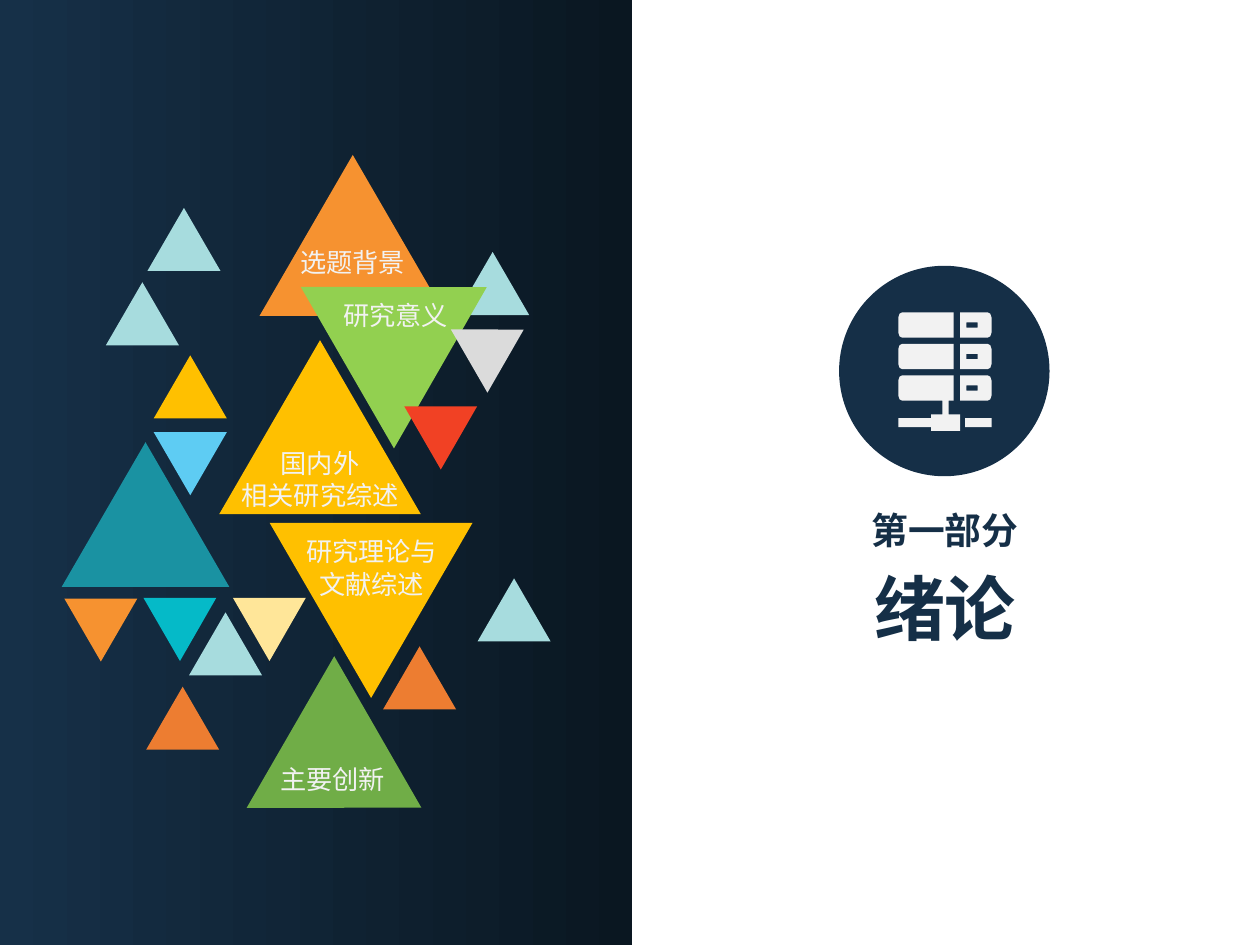
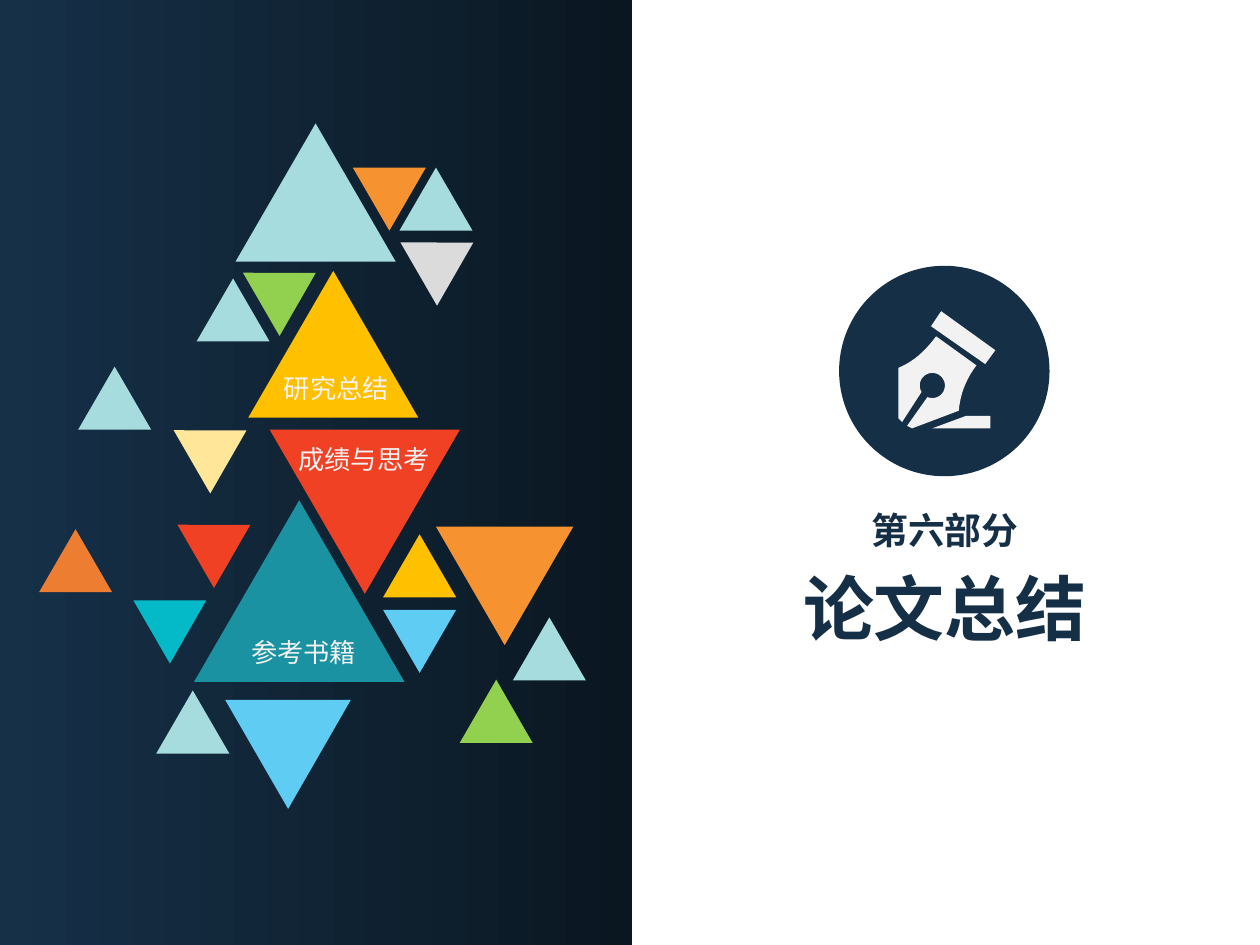
import math

from lxml import etree
from pptx import Presentation
from pptx.dml.color import RGBColor
from pptx.enum import shapes, text
from pptx.oxml.ns import qn
from pptx.util import Inches, Pt

FONT = "Noto Sans CJK SC"
COLORS = {
    "navy": "152F47", "band_start": "163048", "band_end": "0A1721",
    "light": "F2F2F2", "mist": "A7DCDE", "cream": "FFE699",
    "amber": "FFC000", "teal": "1A92A2", "rust": "ED7D31",
    "orange": "F69230", "lime": "92D050", "gray": "DBDBDB",
    "cyan": "05BAC8", "sky": "5ECCF3", "red": "F14124", "green": "70AD47",
}
SMALL = 0.58          # width of the small triangles
RATIO = 0.863         # triangle height to width
CENTER_X = 7.5        # axis of the right half

# colour, left, top, width, rotation
INTRO_TRIANGLES = [
    ("mist", 0.84, 2.24, SMALL, 0),
    ("mist", 3.62, 2.0, SMALL, 0),
    ("cream", 1.92, 4.62, SMALL, 60),
    ("amber", 1.74, 2.7, 1.6, 0),
    ("teal", 0.49, 3.51, 1.33, 0),
    ("mist", 1.5, 4.86, SMALL, 0),
    ("rust", 1.16, 5.45, SMALL, 0),
    ("orange", 2.06, 1.23, 1.48, 0),
    ("mist", 1.17, 1.65, SMALL, 0),
    ("lime", 2.57, 1.96, 1.48, 60),
    ("gray", 3.65, 2.49, SMALL, 60),
    ("cyan", 1.21, 4.62, SMALL, 60),
    ("orange", 0.51, 4.75, SMALL, 180),
    ("amber", 1.22, 2.82, SMALL, 0),
    ("sky", 1.22, 3.43, SMALL, 180),
    ("red", 3.28, 3.1, SMALL, 60),
    ("green", 2.13, 5.51, 1.39, 120),
    ("mist", 3.79, 4.59, SMALL, 0),
    ("amber", 2.14, 4.15, 1.61, 180),
    ("rust", 3.04, 5.13, SMALL, 0),
]
SUMMARY_TRIANGLES = [
    ("mist", 0.62, 2.91, SMALL, 0),
    ("mist", 3.17, 1.33, SMALL, 0),
    ("cream", 1.45, 3.29, SMALL, 60),
    ("red", 2.14, 3.41, 1.51, 180),
    ("teal", 1.54, 3.97, 1.67, 0),
    ("mist", 1.24, 5.48, SMALL, 0),
    ("rust", 0.31, 4.2, SMALL, 0),
    ("mist", 1.56, 2.21, SMALL, 0),
    ("lime", 2.0, 2.04, SMALL, 60),
    ("gray", 3.25, 1.8, SMALL, 60),
    ("cyan", 1.13, 4.64, SMALL, 60),
    ("orange", 3.46, 4.18, 1.09, 180),
    ("amber", 3.04, 4.24, SMALL, 0),
    ("sky", 3.04, 4.84, SMALL, 180),
    ("red", 1.48, 4.04, SMALL, 60),
    ("sky", 1.91, 5.34, 1.0, 60),
    ("mist", 4.07, 4.9, SMALL, 0),
    ("amber", 1.97, 2.15, 1.35, 0),
    ("lime", 3.72, 5.52, SMALL, 120),
    ("mist", 1.87, 0.98, 1.27, 0),
    ("orange", 2.8, 1.33, SMALL, 180),
]

# text, centre x, centre y
INTRO_LABELS = [
    ("国内外\n相关研究综述", 2.54, 3.8),
    ("选题背景", 2.8, 2.08),
    ("研究意义", 3.14, 2.5),
    ("研究理论与\n文献综述", 2.95, 4.5),
    ("主要创新", 2.64, 6.18),
]
SUMMARY_LABELS = [
    ("研究总结", 2.67, 3.08),
    ("成绩与思考", 2.89, 3.64),
    ("参考书籍", 2.41, 5.17),
]


def rgb(name):
    return RGBColor.from_string(COLORS[name])


def write(tf, content, size, color, bold=False, spacing=1.33):
    """Centre the lines of content; spacing is a multiple of the size."""
    tf.word_wrap = False
    tf.auto_size = text.MSO_AUTO_SIZE.NONE
    tf.vertical_anchor = text.MSO_ANCHOR.MIDDLE
    tf.text = content
    for p in tf.paragraphs:
        p.alignment = text.PP_ALIGN.CENTER
        p.space_before = Pt(0)
        p.line_spacing = Pt(size * spacing)
        for r in p.runs:
            r.font.name = FONT
            r.font.size = Pt(size)
            r.font.bold = bold
            r.font.color.rgb = rgb(color)
            ea = etree.SubElement(r.font._element, qn("a:ea"))
            ea.set("typeface", FONT)


def place(sp, left, top, width, height):
    sp.left, sp.top = Inches(left), Inches(top)
    sp.width, sp.height = Inches(width), Inches(height)


def paint(sp, color):
    sp.shadow.inherit = False
    sp.line.fill.background()
    sp.fill.solid()
    sp.fill.fore_color.rgb = rgb(color)


def add_preset(slide, kind, box, color):
    sp = slide.shapes.add_shape(kind, *map(Inches, box))
    paint(sp, color)
    return sp


def add_band(slide):
    sp = add_preset(slide, shapes.MSO_SHAPE.RECTANGLE, (0, 0, 5.02, 7.5), "navy")
    sp.fill.gradient()
    sp.fill.gradient_angle = 0
    for stop, color in zip(sp.fill.gradient_stops, ("band_start", "band_end")):
        stop.color.rgb = rgb(color)


def add_triangle(slide, color, left, top, width, rotation):
    box = (left, top, width, width * RATIO)
    sp = add_preset(slide, shapes.MSO_SHAPE.ISOSCELES_TRIANGLE, box, color)
    sp.rotation = rotation


def add_label(slide, content, x, y):
    width, height = 1.5, 0.61
    box = (x - width / 2, y - height / 2, width, height)
    tb = slide.shapes.add_textbox(*map(Inches, box))
    write(tb.text_frame, content, 15, "light", spacing=1.23)


def add_outline(slide, contours, color):
    """Draw closed contours as one shape; inner contours become holes."""
    contours = [[(Inches(x), Inches(y)) for x, y in c] for c in contours]
    builder = slide.shapes.build_freeform(*contours[0][0], scale=1.0)
    for i, (start, *rest) in enumerate(contours):
        if i:
            builder.move_to(*start)
        builder.add_line_segments(rest, close=True)
    paint(builder.convert_to_shape(), color)


def rect(x1, y1, x2, y2):
    return [(x1, y1), (x2, y1), (x2, y2), (x1, y2)]


def half_rounded(inner, outer, top, bottom):
    """Box whose two corners on the outer side are rounded."""
    step = math.copysign(0.01, inner - outer)
    corner = [(3 * step, 0), (step, 0.01), (0, 0.04)]
    upper = [(outer + dx, top + dy) for dx, dy in corner]
    lower = [(outer + dx, bottom - dy) for dx, dy in reversed(corner)]
    return [(inner, top), *upper, *lower, (inner, bottom)]


def bezier(p0, p1, p2, p3, steps=10):
    points = []
    for i in range(steps + 1):
        t = i / steps
        weights = ((1 - t) ** 3, 3 * t * (1 - t) ** 2, 3 * t * t * (1 - t), t ** 3)
        points.append(tuple(sum(w * p[k] for w, p in zip(weights, (p0, p1, p2, p3)))
                            for k in (0, 1)))
    return points


def server_icon():
    contours = []
    for i in range(3):
        top = 2.48 + 0.25 * i
        contours += [half_rounded(7.57, 7.13, top, top + 0.2),
                     half_rounded(7.62, 7.87, top, top + 0.2),
                     rect(7.67, top + 0.08, 7.76, top + 0.12)]
    plug = [(7.48, 3.18), (7.53, 3.18), (7.53, 3.29), (7.62, 3.29),
            (7.62, 3.42), (7.39, 3.42), (7.39, 3.39), (7.13, 3.39),
            (7.13, 3.32), (7.39, 3.32), (7.39, 3.29), (7.48, 3.29)]
    return contours + [plug, rect(7.66, 3.32, 7.87, 3.39)]


def pen_icon():
    eye = [(7.4 + 0.1 * math.cos(math.radians(a)),
            3.06 + 0.1 * math.sin(math.radians(a)))
           for a in range(113, -220, -12)]
    nib = [(7.16, 3.35), (7.13, 3.32),
           *bezier((7.13, 2.92), (7.25, 2.87), (7.34, 2.79), (7.43, 2.67)),
           *bezier((7.75, 2.9), (7.66, 3.02), (7.62, 3.14), (7.61, 3.26)),
           (7.24, 3.4), (7.2, 3.38), *eye]
    stroke = [(7.4, 3.4), (7.86, 3.4), (7.86, 3.3), (7.67, 3.3)]
    collar = [(7.82, 2.89), (7.9, 2.78), (7.47, 2.47), (7.39, 2.59)]
    return [nib, stroke, collar]


def add_section(prs, part, title, icon, triangles, labels):
    slide = prs.slides.add_slide(prs.slide_layouts.get_by_name("Section Header"))
    add_band(slide)
    name, number = slide.placeholders
    place(name, CENTER_X - 1.3, 4.39, 2.6, 0.78)
    write(name.text_frame, title, 40.5, "navy", bold=True)
    place(number, CENTER_X - 0.7, 3.96, 1.4, 0.45)
    write(number.text_frame, part, 21, "navy", bold=True)
    add_preset(slide, shapes.MSO_SHAPE.OVAL, (6.66, 2.11, 1.67, 1.67), "navy")
    add_outline(slide, icon, "light")
    for triangle in triangles:
        add_triangle(slide, *triangle)
    for label in labels:
        add_label(slide, *label)


def main():
    prs = Presentation()
    prs.slide_width, prs.slide_height = Inches(10), Inches(7.5)
    add_section(prs, "第一部分", "绪论", server_icon(),
                INTRO_TRIANGLES, INTRO_LABELS)
    add_section(prs, "第六部分", "论文总结", pen_icon(),
                SUMMARY_TRIANGLES, SUMMARY_LABELS)
    prs.save("out.pptx")


if __name__ == "__main__":
    main()
